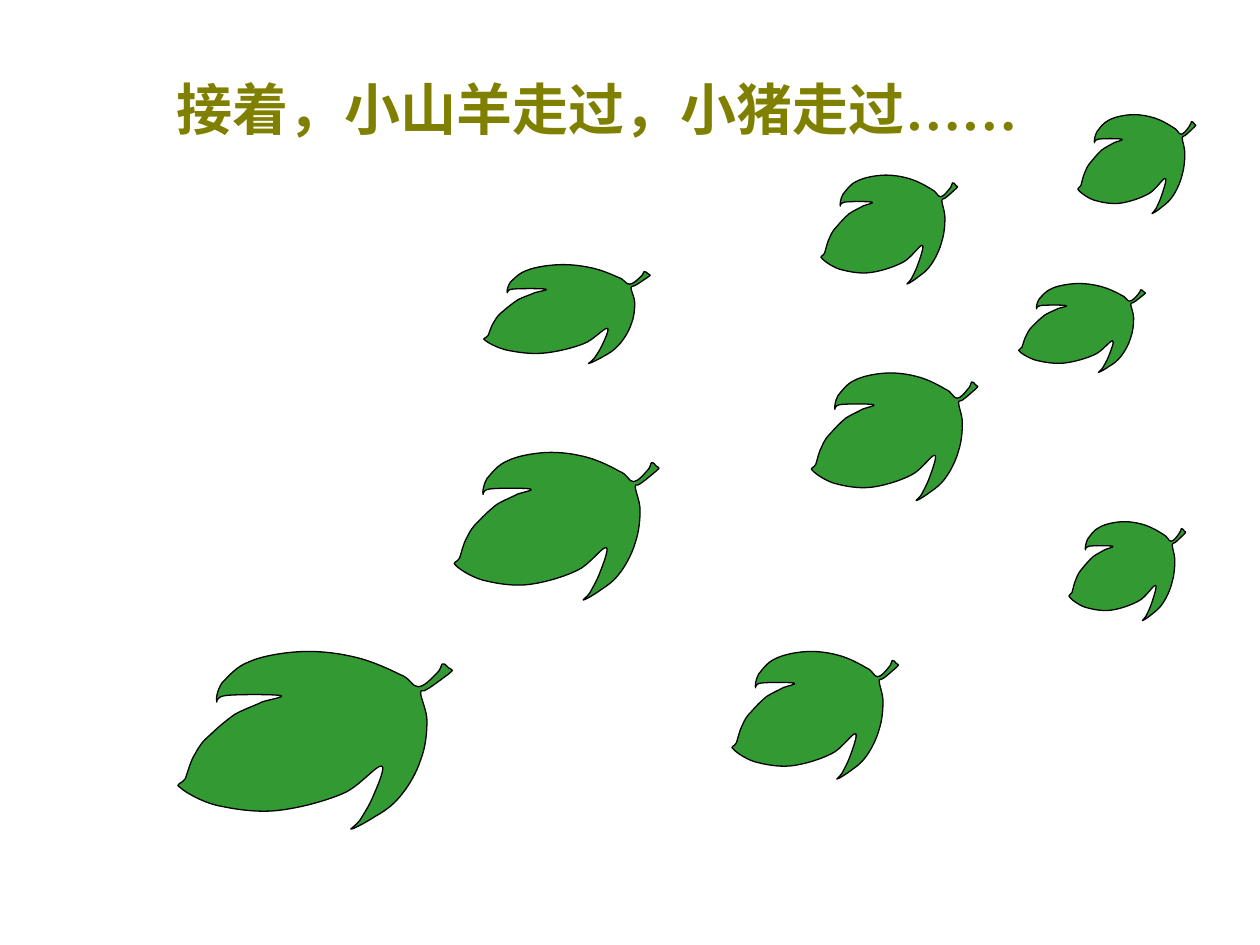
from dataclasses import dataclass

from lxml.etree import SubElement
from pptx import Presentation
from pptx.dml.color import RGBColor
from pptx.enum.text import MSO_ANCHOR, MSO_AUTO_SIZE, PP_ALIGN
from pptx.oxml.ns import qn
from pptx.util import Inches, Pt

COLORS = {"title": "808000", "leaf": "339933", "edge": "000000"}

# Leaf outline on a 220 x 142 grid: each row is one Bezier curve
# (two control points and an end point)
GRID = (220, 142)
START = (9, 101)
CURVES = [
    # Left tip and upper lobe
    ((11, 96), (13, 87), (17, 81)),
    ((20, 75), (23, 71), (29, 66)),
    ((34, 61), (41, 55), (48, 50)),
    ((55, 46), (64, 43), (70, 40)),
    ((76, 38), (89, 36), (84, 35)),
    ((79, 34), (49, 34), (41, 35)),
    ((32, 36), (34, 42), (34, 40)),
    ((33, 39), (34, 31), (38, 25)),
    ((43, 20), (49, 12), (60, 8)),
    ((71, 3), (92, 0), (106, 0)),
    ((120, 0), (133, 2), (145, 5)),
    ((157, 8), (170, 14), (178, 18)),
    # Stem
    ((187, 21), (188, 28), (193, 28)),
    ((198, 28), (204, 21), (207, 18)),
    ((211, 15), (211, 11), (212, 10)),
    ((214, 9), (216, 12), (217, 13)),
    ((218, 14), (220, 14), (220, 15)),
    ((220, 16), (220, 15), (217, 18)),
    ((214, 20), (204, 28), (200, 30)),
    ((197, 33), (195, 29), (195, 33)),
    # Right side and lower lobe
    ((195, 37), (200, 47), (200, 55)),
    ((200, 64), (199, 76), (195, 86)),
    ((192, 96), (185, 108), (178, 116)),
    ((172, 123), (166, 127), (159, 131)),
    ((153, 135), (142, 141), (140, 141)),
    ((138, 142), (144, 138), (147, 134)),
    ((150, 129), (154, 123), (157, 116)),
    ((160, 109), (168, 91), (164, 91)),
    # Lower edge back to the tip
    ((160, 90), (146, 108), (133, 113)),
    ((119, 119), (100, 124), (84, 126)),
    ((69, 128), (52, 126), (38, 123)),
    ((25, 121), (9, 112), (5, 108)),
    ((0, 105), (7, 105), START),
]


@dataclass
class Leaf:
    left: float
    top: float
    width: float
    height: float


LEAVES = [
    Leaf(8.54, 0.91, 0.95, 0.79),
    Leaf(8.47, 4.14, 0.94, 0.79),
    Leaf(6.42, 2.96, 1.34, 1.02),
    Leaf(1.38, 5.17, 2.21, 1.42),
    Leaf(5.79, 5.17, 1.34, 1.02),
    Leaf(8.07, 2.25, 1.02, 0.71),
    Leaf(3.58, 3.59, 1.65, 1.18),
    Leaf(6.5, 1.39, 1.1, 0.87),
    Leaf(3.82, 2.1, 1.34, 0.79),
]


def color(name: str) -> RGBColor:
    return RGBColor.from_string(COLORS[name])


def bend(shape) -> None:
    """Turn every three line segments into one Bezier curve."""
    outline = shape._element.find(".//" + qn("a:path"))
    lines = outline.findall(qn("a:lnTo"))
    for first in range(0, len(lines), 3):
        curve = SubElement(outline, qn("a:cubicBezTo"))
        lines[first].addprevious(curve)
        for line in lines[first:first + 3]:
            curve.append(line[0])
            outline.remove(line)


def draw_leaf(slide, leaf: Leaf) -> None:
    scale = (Inches(leaf.width) / GRID[0], Inches(leaf.height) / GRID[1])
    pen = slide.shapes.build_freeform(*START, scale=scale)
    pen.add_line_segments([point for curve in CURVES for point in curve])
    shape = pen.convert_to_shape(Inches(leaf.left), Inches(leaf.top))
    bend(shape)
    shape.shadow.inherit = False
    shape.fill.solid()
    shape.fill.fore_color.rgb = color("leaf")
    shape.line.color.rgb = color("edge")
    shape.line.width = Pt(0.75)


def write_title(slide) -> None:
    title = slide.shapes.title
    title.left, title.top = Inches(1.3), Inches(0.6)
    title.width, title.height = Inches(7.64), Inches(0.58)
    frame = title.text_frame
    frame.word_wrap = True
    frame.auto_size = MSO_AUTO_SIZE.NONE
    frame.vertical_anchor = MSO_ANCHOR.TOP
    para = frame.paragraphs[0]
    para.alignment = PP_ALIGN.LEFT
    para.line_spacing = 0.9
    for text, face in (("接着，小山羊走过，小猪走过", "Noto Sans CJK SC"),
                       ("……", "Times New Roman")):
        run = para.add_run()
        run.text = text
        run.font.name = face
        run.font.size = Pt(32)
        run.font.bold = True
        run.font.color.rgb = color("title")
        # Chinese glyphs take the East Asian font
        SubElement(run.font._element, qn("a:ea")).set("typeface", face)


def main() -> None:
    deck = Presentation()
    deck.slide_width, deck.slide_height = Inches(10), Inches(7.5)
    slide = deck.slides.add_slide(deck.slide_layouts[5])
    write_title(slide)
    for leaf in LEAVES:
        draw_leaf(slide, leaf)
    deck.save("out.pptx")


if __name__ == "__main__":
    main()
